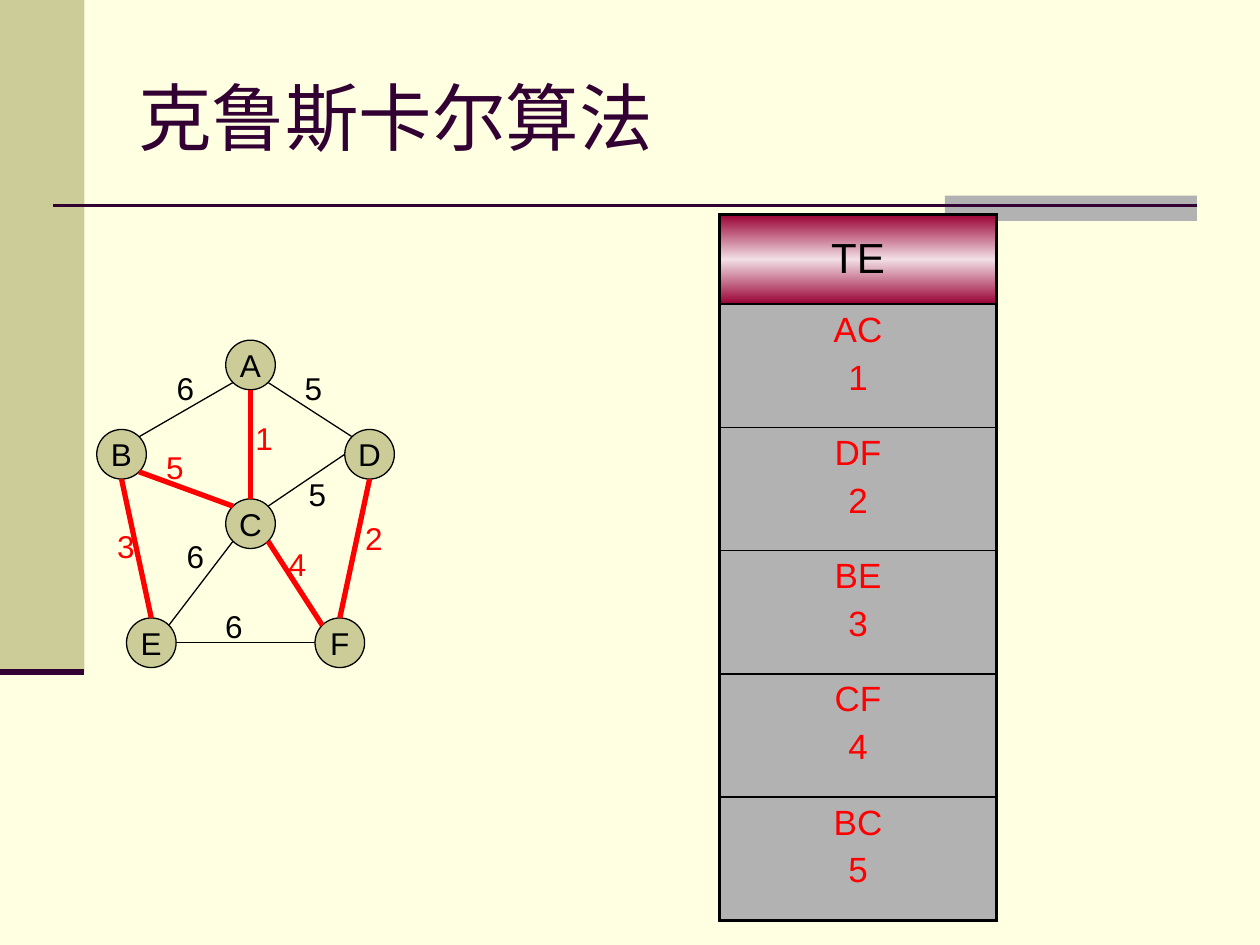
import lxml.etree
import pptx
import pptx.dml.color
import pptx.enum.shapes
import pptx.enum.text
import pptx.oxml.ns
import pptx.util

COLORS = {
    "paper": "FFFFE1", "olive": "CCCC99", "gray": "B2B2B2", "plum": "330033",
    "ink": "000000", "chosen": "FF0000", "header": "990033", "glow": "F2DFE5",
}
FONT = "Arial"
TITLE = "克鲁斯卡尔算法"
HEADER = "TE"
TREE = [("AC", 1), ("DF", 2), ("BE", 3), ("CF", 4), ("BC", 5)]

NODES = {"A": (13, 0), "B": (0, 9), "C": (13, 16),
         "D": (25, 9), "E": (3, 28), "F": (22, 28)}
EDGES = [
    ("B", "SE", "C", "NW", 5, (5.75, 10.25)),
    ("C", "N", "A", "S", 1, (14.75, 7.3)),
    ("C", "NE", "D", "W", 5, (20.1, 13)),
    ("C", "SE", "F", "NW", 4, (18.1, 20)),
    ("C", "SW", "E", "NE", 6, (7.8, 19.25)),
    ("B", "NE", "A", "SW", 6, (6.8, 2.25)),
    ("B", "S", "E", "N", 3, (0.8, 18.25)),
    ("E", "E", "F", "W", 6, (11.7, 26.25)),
    ("F", "N", "D", "S", 2, (25.8, 17.4)),
    ("D", "NW", "A", "SE", 5, (19.7, 2.25)),
]
COMPASS = {"N": (0, -1), "S": (0, 1), "W": (-1, 0), "E": (1, 0)}

WIDTH, HEIGHT = pptx.util.Inches(10), pptx.util.Inches(7.5)
UNIT = WIDTH / 127
GRAPH_LEFT, GRAPH_TOP = WIDTH * 0.0768, HEIGHT * 0.36
NODE_SIZE = 5
LABEL_SIZE = (4.3, 5.1)
TABLE_LEFT, TABLE_TOP = WIDTH * 0.571, HEIGHT * 0.227
TABLE_WIDTH, TABLE_HEIGHT = WIDTH * 0.22, HEIGHT * 0.747
HEADER_HEIGHT = HEIGHT * 0.095

deck = pptx.Presentation()
deck.slide_width, deck.slide_height = WIDTH, HEIGHT
page = deck.slides.add_slide(deck.slide_layouts[6])


def color(name):
    return pptx.dml.color.RGBColor.from_string(COLORS[name])


def paint(fill, name):
    fill.solid()
    fill.fore_color.rgb = color(name)


def whole(*lengths):
    return [round(length) for length in lengths]


def on_graph(column, row):
    return GRAPH_LEFT + column * UNIT, GRAPH_TOP + row * UNIT


def add_block(kind, left, top, width, height, fill):
    shape = page.shapes.add_shape(kind, *whole(left, top, width, height))
    shape.shadow.inherit = False
    paint(shape.fill, fill)
    shape.line.fill.background()
    return shape


def add_line(start, end, name, points):
    line = page.shapes.add_connector(
        pptx.enum.shapes.MSO_CONNECTOR.STRAIGHT, *whole(*start, *end))
    line.line.color.rgb = color(name)
    line.line.width = pptx.util.Pt(points)
    properties = line._element.spPr
    lxml.etree.SubElement(properties, pptx.oxml.ns.qn("a:effectLst"))


def write(frame, lines, size, name, centered=True, before=0):
    for index, text in enumerate(lines):
        para = frame.add_paragraph() if index else frame.paragraphs[0]
        para.text = str(text)
        para.font.name = FONT
        para.font.size = pptx.util.Pt(size)
        para.font.color.rgb = color(name)
        para.space_before = pptx.util.Pt(before)
        if centered:
            para.alignment = pptx.enum.text.PP_ALIGN.CENTER


def add_text(left, top, width, height, text, size, name, wrap):
    box = page.shapes.add_textbox(*whole(left, top, width, height))
    box.text_frame.word_wrap = wrap
    write(box.text_frame, [text], size, name, centered=False)
    return box


def site(node, heading):
    reach = NODE_SIZE / 2 / len(heading) ** 0.5
    column, row = (corner + NODE_SIZE / 2 + reach * sum(COMPASS[way][axis] for way in heading)
                   for axis, corner in enumerate(NODES[node]))
    return on_graph(column, row)


def add_part(parent, tag, **attributes):
    return lxml.etree.SubElement(parent, pptx.oxml.ns.qn(tag), attributes)


def add_borders(cell, first, last):
    properties = cell._tc.get_or_add_tcPr()
    for side, outer in (("L", True), ("R", True), ("T", first), ("B", last)):
        points = 2.25 if outer else 1
        border = add_part(properties, f"a:ln{side}", w=str(pptx.util.Pt(points)))
        add_part(add_part(border, "a:solidFill"), "a:srgbClr", val=COLORS["ink"])


def add_glow(cell):
    gradient = add_part(cell._tc.get_or_add_tcPr(), "a:gradFill", rotWithShape="1")
    stops = add_part(gradient, "a:gsLst")
    for percent, name in ((0, "header"), (50, "glow"), (100, "header")):
        stop = add_part(stops, "a:gs", pos=str(percent * 1000))
        add_part(stop, "a:srgbClr", val=COLORS[name])
    add_part(gradient, "a:lin", ang="5400000", scaled="1")


def add_frame():
    paint(page.background.fill, "paper")
    rectangle = pptx.enum.shapes.MSO_SHAPE.RECTANGLE
    side, foot, rule = WIDTH * 0.067, HEIGHT * 0.711, HEIGHT * 0.2175
    add_block(rectangle, 0, 0, side, foot, "olive")
    add_block(rectangle, WIDTH * 0.75, HEIGHT * 0.207, WIDTH * 0.2, HEIGHT * 0.027, "gray")
    add_line((WIDTH * 0.042, rule), (WIDTH * 0.95, rule), "plum", 1.5)
    add_line((0, foot), (side, foot), "plum", 3.5)
    title = add_text(WIDTH * 0.1, HEIGHT * 0.04, WIDTH * 0.85, HEIGHT / 6,
                     TITLE, 42, "plum", True)
    title.text_frame.vertical_anchor = pptx.enum.text.MSO_ANCHOR.MIDDLE


def add_graph():
    for name, corner in NODES.items():
        node = add_block(pptx.enum.shapes.MSO_SHAPE.OVAL, *on_graph(*corner),
                         NODE_SIZE * UNIT, NODE_SIZE * UNIT, "olive")
        node.line.color.rgb = color("ink")
        node.line.width = pptx.util.Pt(0.75)
        node.text_frame.word_wrap = False
        node.text_frame.vertical_anchor = pptx.enum.text.MSO_ANCHOR.MIDDLE
        write(node.text_frame, [name], 18, "ink")
    chosen = {frozenset(pair) for pair, weight in TREE}
    for start, leaving, end, entering, weight, corner in EDGES:
        name, points = ("chosen", 3) if frozenset((start, end)) in chosen else ("ink", 0.75)
        add_line(site(start, leaving), site(end, entering), name, points)
        add_text(*on_graph(*corner), *(side * UNIT for side in LABEL_SIZE),
                 weight, 18, name, False)


def add_tree_table():
    count = len(TREE) + 1
    table = page.shapes.add_table(
        count, 1, *whole(TABLE_LEFT, TABLE_TOP, TABLE_WIDTH, TABLE_HEIGHT)).table
    table.horz_banding = False
    for index, lines in enumerate([(HEADER,), *TREE]):
        cell = table.cell(index, 0)
        add_borders(cell, index == 0, index == count - 1)
        if index:
            table.rows[index].height = round((TABLE_HEIGHT - HEADER_HEIGHT) / len(TREE))
            paint(cell.fill, "gray")
            write(cell.text_frame, lines, 20, "chosen", before=5)
        else:
            table.rows[index].height = round(HEADER_HEIGHT)
            add_glow(cell)
            cell.vertical_anchor = pptx.enum.text.MSO_ANCHOR.MIDDLE
            write(cell.text_frame, lines, 24, "ink", before=6)
            cell.text_frame.paragraphs[0].font.bold = False


add_frame()
add_graph()
add_tree_table()
deck.save("out.pptx")
